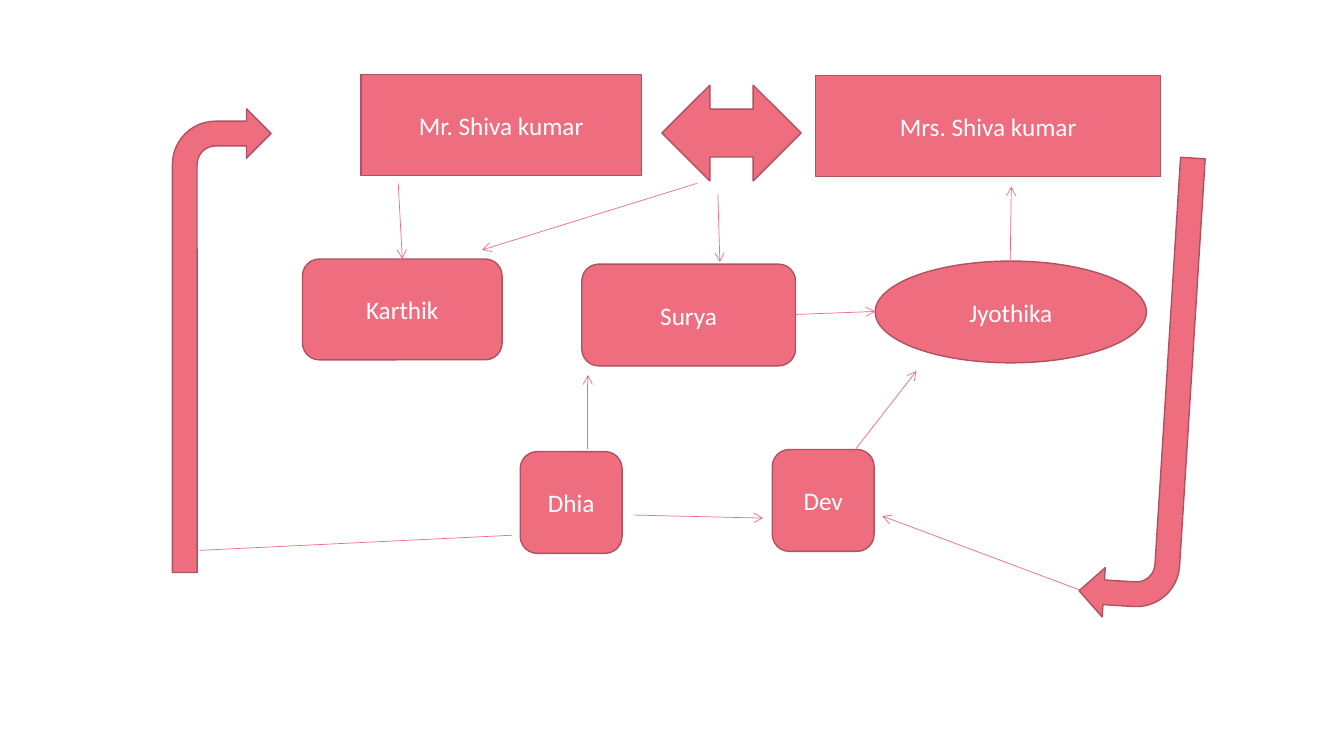
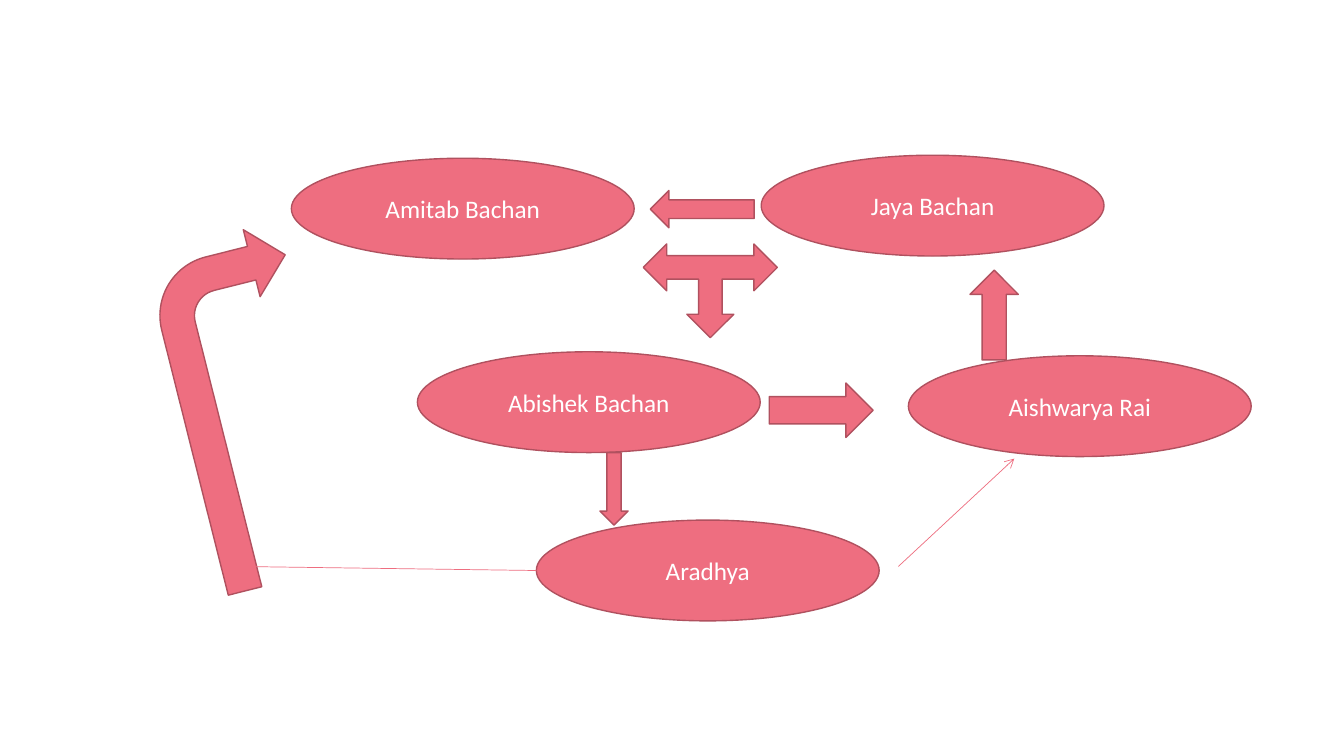
from lxml import etree
from pptx import Presentation
from pptx.dml import color
from pptx.enum import shapes, text
from pptx.oxml import ns
from pptx.util import Inches, Pt

COLORS = {"fill": "EE6E80", "outline": "B0515F", "label": "FFFFFF", "background": "FFFFFF"}
FONT = "Calibri"
KIND = shapes.MSO_SHAPE
OVAL = (3.4, 1)

FAMILIES = [
    {
        "people": [
            ("Surya", KIND.ROUNDED_RECTANGLE, (5.77, 2.62), (2.12, 1.01)),
            ("Jyothika", KIND.OVAL, (8.68, 2.59), (2.69, 1.01)),
            ("Dhia", KIND.ROUNDED_RECTANGLE, (5.16, 4.48), (1.01, 1.01)),
            ("Dev", KIND.ROUNDED_RECTANGLE, (7.66, 4.46), (1.01, 1.01)),
            ("Mr. Shiva kumar", KIND.RECTANGLE, (3.58, 0.74), (2.78, 1)),
            ("Mrs. Shiva kumar", KIND.RECTANGLE, (8.09, 0.75), (3.42, 1)),
            ("Karthik", KIND.ROUNDED_RECTANGLE, (3, 2.57), (1.98, 1)),
        ],
        "arrows": [
            (KIND.UP_DOWN_ARROW, (6.78, 0.63), (0.95, 1.38), 90),
            (KIND.BENT_ARROW, (1.71, 1.08), (0.98, 4.6), 0),
            (KIND.BENT_ARROW, (10.83, 1.54), (0.98, 4.6), 183.6),
        ],
        "links": [
            ((7.12, 1.92), (7.14, 2.6), True),
            ((6.91, 1.82), (4.78, 2.48), True),
            ((10.02, 2.59), (10.03, 1.85), True),
            ((7.89, 3.12), (8.68, 3.09), True),
            ((3.95, 1.82), (3.99, 2.57), True),
            ((5.83, 4.45), (5.83, 3.72), True),
            ((8.49, 4.45), (9.09, 3.68), True),
            ((1.98, 5.46), (5.08, 5.31), False),
            ((10.7, 5.85), (8.75, 5.12), True),
            ((6.29, 5.11), (7.57, 5.14), True),
        ],
    },
    {
        "people": [
            ("Amitab Bachan", KIND.OVAL, (2.89, 1.57), OVAL),
            ("Jaya Bachan", KIND.OVAL, (7.55, 1.54), OVAL),
            ("Abishek Bachan", KIND.OVAL, (4.14, 3.49), OVAL),
            ("Aishwarya Rai", KIND.OVAL, (9.01, 3.53), OVAL),
            ("Aradhya", KIND.OVAL, (5.32, 5.16), OVAL),
        ],
        "arrows": [
            (KIND.RIGHT_ARROW, (7.63, 3.8), (1.03, 0.54), 0),
            (KIND.LEFT_ARROW, (6.45, 1.89), (1.03, 0.37), 0),
            (KIND.LEFT_RIGHT_UP_ARROW, (6.38, 2.42), (1.33, 0.93), 180),
            (KIND.DOWN_ARROW, (5.95, 4.49), (0.28, 0.72), 0),
            (KIND.DOWN_ARROW, (9.62, 2.68), (0.48, 0.89), 180),
            (KIND.BENT_ARROW, (1.82, 2.31), (1.37, 3.48), 345.9),
        ],
        "links": [
            ((5.32, 5.66), (2.37, 5.62), False),
            ((8.91, 5.62), (10.06, 4.55), True),
        ],
    },
]


def rgb(name):
    return color.RGBColor.from_string(COLORS[name])


def add_figure(page, kind, corner, size, turn=0):
    figure = page.shapes.add_shape(kind, *(Inches(n) for n in corner + size))
    figure.rotation = turn
    figure.shadow.inherit = False
    figure.fill.solid()
    figure.fill.fore_color.rgb = rgb("fill")
    figure.line.color.rgb = rgb("outline")
    figure.line.width = Pt(1)
    return figure


def add_person(page, name, kind, corner, size):
    frame = add_figure(page, kind, corner, size).text_frame
    frame.word_wrap = True
    frame.vertical_anchor = text.MSO_ANCHOR.MIDDLE
    para = frame.paragraphs[0]
    para.alignment = text.PP_ALIGN.CENTER
    span = para.add_run()
    span.text = name
    span.font.name = FONT
    span.font.size = Pt(18)
    span.font.color.rgb = rgb("label")


def add_link(page, start, end, pointed):
    link = page.shapes.add_connector(
        shapes.MSO_CONNECTOR.STRAIGHT, *(Inches(n) for n in start + end))
    link.line.color.rgb = rgb("fill")
    link.line.width = Pt(0.5)
    if pointed:
        etree.SubElement(link.line._get_or_add_ln(), ns.qn("a:tailEnd"), type="arrow")
    etree.SubElement(link._element.spPr, ns.qn("a:effectLst"))


deck = Presentation()
deck.slide_width, deck.slide_height = Inches(13.33), Inches(7.5)
backdrop = deck.slide_master.background.fill
backdrop.solid()
backdrop.fore_color.rgb = rgb("background")

for family in FAMILIES:
    page = deck.slides.add_slide(deck.slide_layouts[6])
    for person in family["people"]:
        add_person(page, *person)
    for arrow in family["arrows"]:
        add_figure(page, *arrow)
    for link in family["links"]:
        add_link(page, *link)

deck.save("out.pptx")
